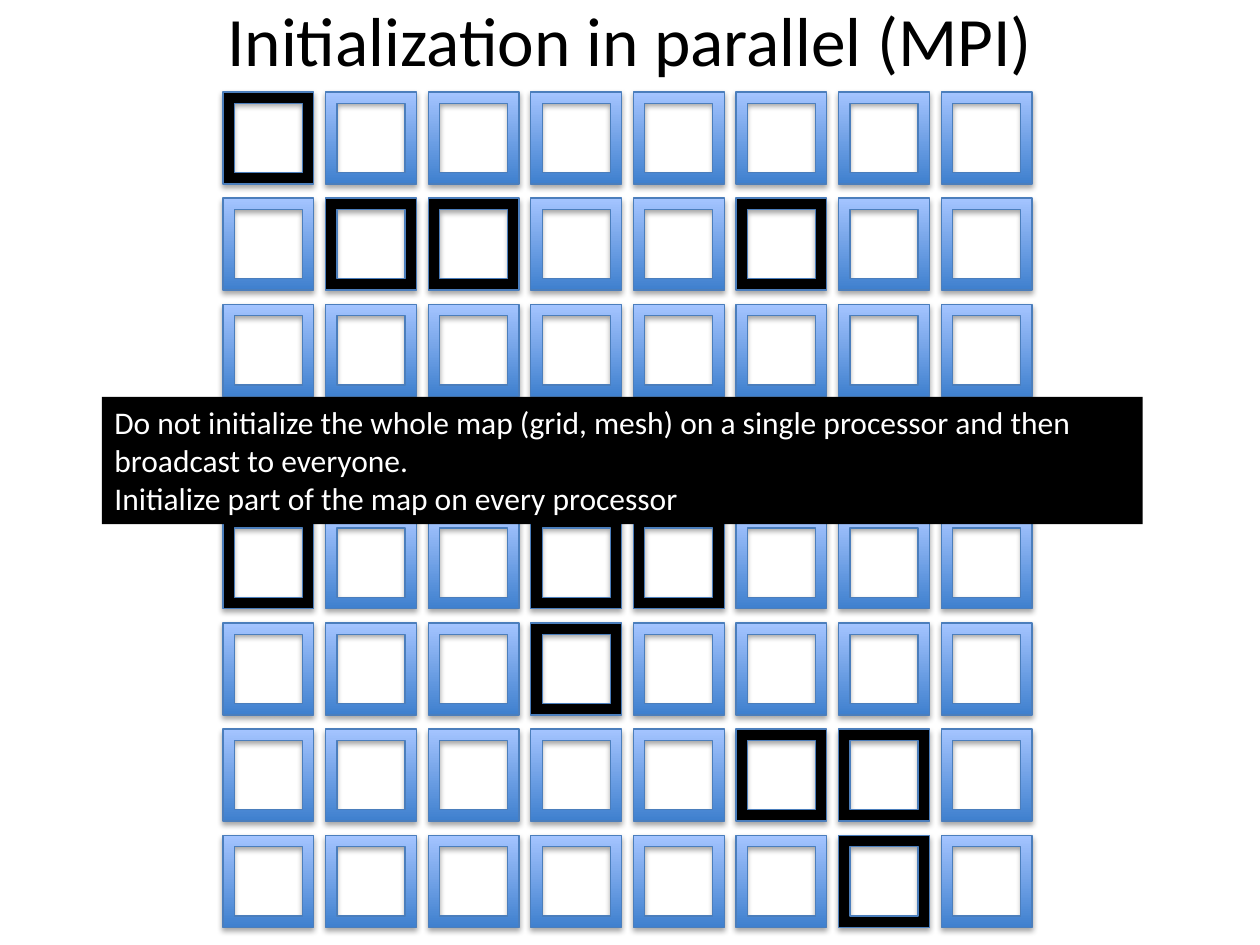
import pptx
import pptx.dml.color
import pptx.enum.shapes
import pptx.enum.text
import pptx.util
from lxml import etree
from pptx.oxml.ns import qn
from pptx.util import Inches

THEME = {
    "font": "Calibri",
    "title_size": 39.6,
    "body_size": 18,
    "black": "000000",
    "white": "FFFFFF",
    "outline": "4B7EBC",
    "gradient": ("3F80CE", "A4C4FF"),
}
COUNT = 8
LEFT, RIGHT = 1.77, 7.47
TOP, BOTTOM = 0.73, 6.63
BLACK_COLUMNS = [{0}, {1, 2, 5}, set(), {5}, {0, 3, 4}, {3}, {5, 6}, {6}]
MESSAGE = [
    "Do not initialize the whole map (grid, mesh) on a single processor and then broadcast to everyone.",
    "Initialize part of the map on every processor",
]


def color(name):
    return pptx.dml.color.RGBColor.from_string(name)


def write(paragraph, text, size, fill, alignment):
    paragraph.text = text
    paragraph.alignment = alignment
    font_format = {"name": THEME["font"], "size": pptx.util.Pt(size)}
    for attribute, value in font_format.items():
        setattr(paragraph.font, attribute, value)
    paragraph.font.color.rgb = color(fill)


presentation = pptx.Presentation()
presentation.slide_width = Inches(10)
presentation.slide_height = Inches(7.5)
slide = presentation.slides.add_slide(presentation.slide_layouts[5])
align = pptx.enum.text.PP_ALIGN
shape_types = pptx.enum.shapes.MSO_SHAPE

title = slide.shapes.title
title_place = {"left": 0.34, "top": -0.11, "width": 9.32, "height": 0.84}
for attribute, value in title_place.items():
    setattr(title, attribute, Inches(value))
title_frame_format = {
    "auto_size": pptx.enum.text.MSO_AUTO_SIZE.NONE,
    "vertical_anchor": pptx.enum.text.MSO_ANCHOR.MIDDLE,
    "margin_left": Inches(0.11),
    "margin_right": Inches(0.11),
    "margin_top": Inches(0.11),
    "margin_bottom": Inches(0.11),
}
for attribute, value in title_frame_format.items():
    setattr(title.text_frame, attribute, value)
write(title.text_frame.paragraphs[0], "Initialization in parallel (MPI)",
      THEME["title_size"], THEME["black"], align.CENTER)

column_step = (RIGHT - LEFT) / (COUNT - 1)
row_step = (BOTTOM - TOP) / (COUNT - 1)
for row, black_columns in enumerate(BLACK_COLUMNS):
    for column in range(COUNT):
        cell = slide.shapes.add_shape(
            shape_types.FRAME,
            Inches(LEFT + column * column_step), Inches(TOP + row * row_step),
            Inches(0.72), Inches(0.73))
        if column in black_columns:
            cell.fill.solid()
            cell.fill.fore_color.rgb = color(THEME["black"])
        else:
            cell.fill.gradient()
            cell.fill.gradient_angle = 90
            for stop, stop_color in zip(cell.fill.gradient_stops, THEME["gradient"]):
                stop.color.rgb = color(stop_color)
        cell.line.color.rgb = color(THEME["outline"])
        cell.line.width = pptx.util.Pt(0.75)
        cell.shadow.inherit = False
        effects = cell.element.spPr.find(qn("a:effectLst"))
        shadow = etree.SubElement(effects, qn("a:outerShdw"), blurRad="40000",
                                  dist="23000", dir="5400000", rotWithShape="0")
        shadow_color = etree.SubElement(shadow, qn("a:srgbClr"), val=THEME["black"])
        etree.SubElement(shadow_color, qn("a:alpha"), val="35000")

banner = slide.shapes.add_shape(shape_types.RECTANGLE, Inches(0.81), Inches(3.15),
                                Inches(8.26), Inches(1.01))
banner.shadow.inherit = False
banner.fill.solid()
banner.fill.fore_color.rgb = color(THEME["black"])
banner.line.fill.background()
banner_frame_format = {
    "word_wrap": True,
    "auto_size": pptx.enum.text.MSO_AUTO_SIZE.SHAPE_TO_FIT_TEXT,
    "vertical_anchor": pptx.enum.text.MSO_ANCHOR.TOP,
}
for attribute, value in banner_frame_format.items():
    setattr(banner.text_frame, attribute, value)
banner.text_frame.text = "\n".join(MESSAGE)
for paragraph, text in zip(banner.text_frame.paragraphs, MESSAGE):
    write(paragraph, text, THEME["body_size"], THEME["white"], align.LEFT)

presentation.save("out.pptx")
